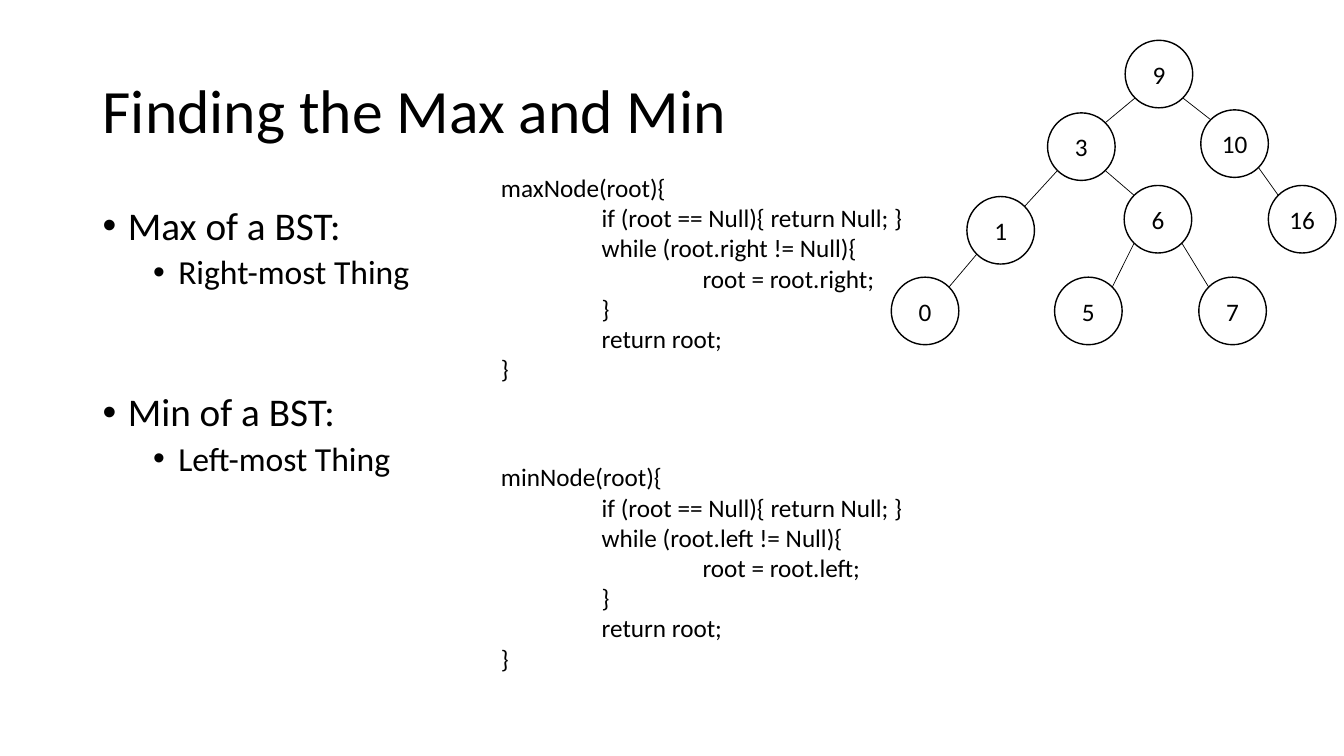
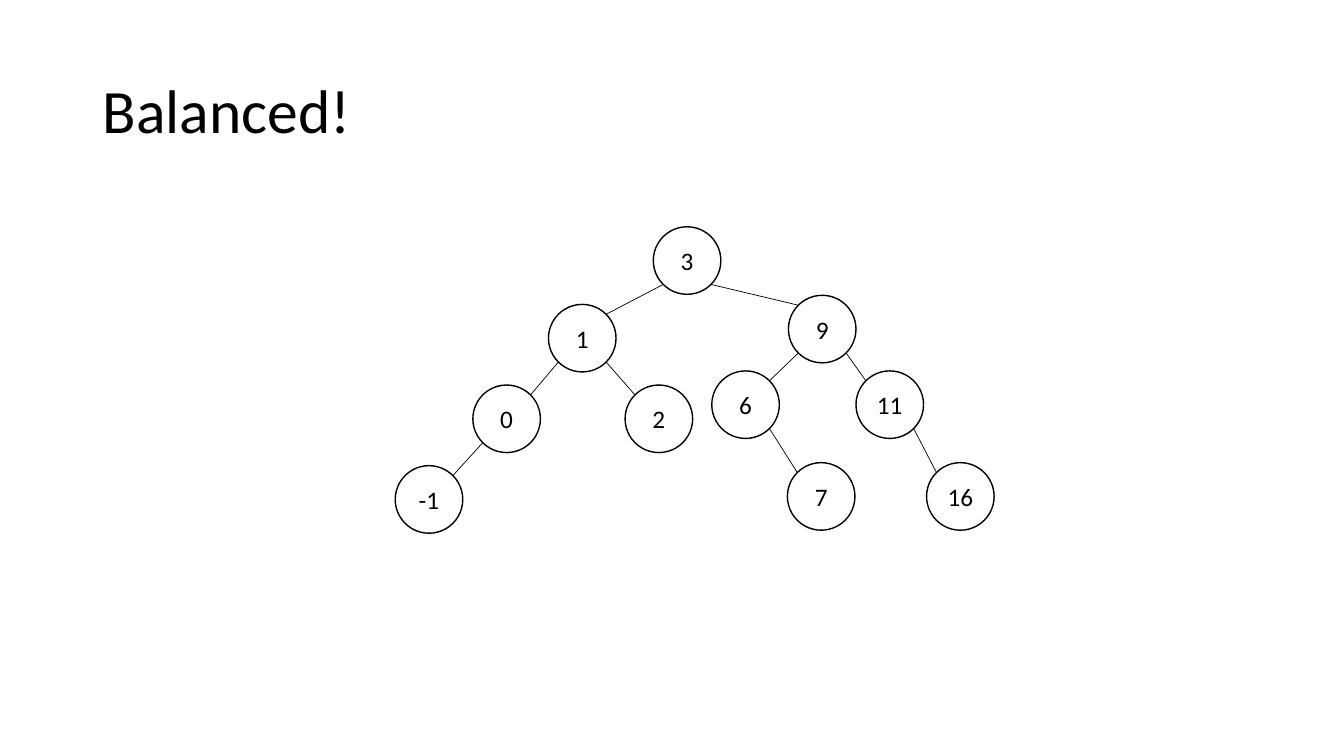
from dataclasses import dataclass
from math import sqrt

from lxml import etree
from pptx import Presentation
from pptx.dml.color import RGBColor
from pptx.enum.shapes import MSO_CONNECTOR, MSO_SHAPE
from pptx.enum.text import MSO_ANCHOR, MSO_AUTO_SIZE, PP_ALIGN
from pptx.oxml.ns import qn
from pptx.util import Emu, Pt

PX = 9144
OVAL = MSO_SHAPE.OVAL
STRAIGHT = MSO_CONNECTOR.STRAIGHT
MIDDLE = MSO_ANCHOR.MIDDLE
TOP = MSO_ANCHOR.TOP
CENTER = PP_ALIGN.CENTER
FIT_SHAPE = MSO_AUTO_SIZE.SHAPE_TO_FIT_TEXT


@dataclass(frozen=True)
class Theme:
    font: str = "Calibri"
    bullet_font: str = "Arial"
    ink: RGBColor = RGBColor(0, 0, 0)
    paper: RGBColor = RGBColor(255, 255, 255)
    title_size: int = 44
    level_sizes: tuple = (28, 24)
    small_size: int = 18
    line_spacing: float = 0.9
    node_line: float = 1
    edge_line: float = 0.5


THEME = Theme()

PAGE_SIZE = (1333, 750)
TITLE_AREA = (92, 40, 1150, 145)
BULLET_AREA = (92, 200, 390, 476)
CODE_SIZE = (423, 222)
CODE_TABS = (100, 200)
NODE = 67
BULLET_INDENTS = (25, 75)
BULLET_HANG = 25

BULLETS = [
    (0, 0, "Max of a BST:"),
    (1, 5, "Right-most Thing"),
    (0, 72, "Min of a BST:"),
    (1, 5, "Left-most Thing"),
]

SEARCHES = [("max", "right", 487, 166), ("min", "left", 487, 453)]
CODE_LINES = [
    "{name}Node(root){{",
    "\tif (root == Null){{ return Null; }}",
    "\twhile (root.{side} != Null){{",
    "\t\troot = root.{side};",
    "\t}}",
    "\treturn root;",
    "}}",
]

SEARCH_TREE = {
    "9": (1116, 40, "3", "10"),
    "3": (1039, 112, "1", "6"),
    "10": (1191, 109, None, "16"),
    "1": (959, 195, "0", None),
    "16": (1258, 184, None, None),
    "0": (884, 275, None, None),
    "6": (1115, 184, "5", "7"),
    "5": (1046, 275, None, None),
    "7": (1189, 275, None, None),
}

BALANCED_TREE = {
    "3": (648, 225, "1", "9"),
    "1": (544, 302, "0", "2"),
    "9": (782, 293, "6", "11"),
    "0": (469, 382, "-1", None),
    "2": (620, 382, None, None),
    "6": (706, 368, None, "7"),
    "11": (849, 368, None, "16"),
    "-1": (392, 462, None, None),
    "7": (781, 459, None, None),
    "16": (919, 459, None, None),
}


def px(*lengths):
    return [Emu(round(length * PX)) for length in lengths]


def add_span(para, text, size):
    span = para.add_run()
    span.text = text
    span.font.name = THEME.font
    span.font.size = Pt(size)
    span.font.color.rgb = THEME.ink


def add_box(page, area, anchor=TOP, wrap=True):
    box = page.shapes.add_textbox(*px(*area))
    box.text_frame.word_wrap = wrap
    box.text_frame.vertical_anchor = anchor
    return box.text_frame


def add_paragraph(frame, index):
    return frame.add_paragraph() if index else frame.paragraphs[0]


def add_page(deck, title):
    page = deck.slides.add_slide(deck.slide_layouts[6])
    para = add_box(page, TITLE_AREA, MIDDLE).paragraphs[0]
    para.line_spacing = THEME.line_spacing
    add_span(para, title, THEME.title_size)
    return page


def add_bullets(page):
    frame = add_box(page, BULLET_AREA)
    for index, (level, space, text) in enumerate(BULLETS):
        para = add_paragraph(frame, index)
        para.level = level
        para.line_spacing = THEME.line_spacing
        para.space_before = Pt(space)
        properties = para._p.get_or_add_pPr()
        properties.set("marL", str(BULLET_INDENTS[level] * PX))
        properties.set("indent", str(-BULLET_HANG * PX))
        etree.SubElement(properties, qn("a:buFont"), typeface=THEME.bullet_font)
        etree.SubElement(properties, qn("a:buChar"), char="•")
        add_span(para, text, THEME.level_sizes[level])


def add_code(page, name, side, left, top):
    frame = add_box(page, (left, top, *CODE_SIZE), wrap=False)
    frame.auto_size = FIT_SHAPE
    for index, line in enumerate(CODE_LINES):
        para = add_paragraph(frame, index)
        tabs = etree.SubElement(para._p.get_or_add_pPr(), qn("a:tabLst"))
        for position in CODE_TABS:
            etree.SubElement(tabs, qn("a:tab"), pos=str(position * PX), algn="l")
        add_span(para, line.format(name=name, side=side), THEME.small_size)


def add_edge(page, parent, child, goes_left):
    near = NODE * (1 - 1 / sqrt(2)) / 2
    far = NODE - near
    start_x, end_x = (near, far) if goes_left else (far, near)
    edge = page.shapes.add_connector(
        STRAIGHT,
        *px(parent[0] + start_x, parent[1] + far, child[0] + end_x, child[1] + near),
    )
    edge.line.color.rgb = THEME.ink
    edge.line.width = Pt(THEME.edge_line)
    etree.SubElement(edge._element.spPr, qn("a:effectLst"))


def add_node(page, label, left, top):
    node = page.shapes.add_shape(OVAL, *px(left, top, NODE, NODE))
    node.shadow.inherit = False
    node.fill.solid()
    node.fill.fore_color.rgb = THEME.paper
    node.line.color.rgb = THEME.ink
    node.line.width = Pt(THEME.node_line)
    frame = node.text_frame
    frame.word_wrap = False
    frame.vertical_anchor = MIDDLE
    para = frame.paragraphs[0]
    para.alignment = CENTER
    add_span(para, label, THEME.small_size)


def add_tree(page, tree):
    for label, (left, top, *children) in tree.items():
        add_node(page, label, left, top)
        for child, goes_left in zip(children, (True, False)):
            if child:
                add_edge(page, (left, top), tree[child], goes_left)


def main():
    deck = Presentation()
    deck.slide_width, deck.slide_height = px(*PAGE_SIZE)

    search_page = add_page(deck, "Finding the Max and Min")
    add_bullets(search_page)
    add_tree(search_page, SEARCH_TREE)
    for search in SEARCHES:
        add_code(search_page, *search)

    balanced_page = add_page(deck, "Balanced!")
    add_tree(balanced_page, BALANCED_TREE)

    deck.save("out.pptx")


if __name__ == "__main__":
    main()
